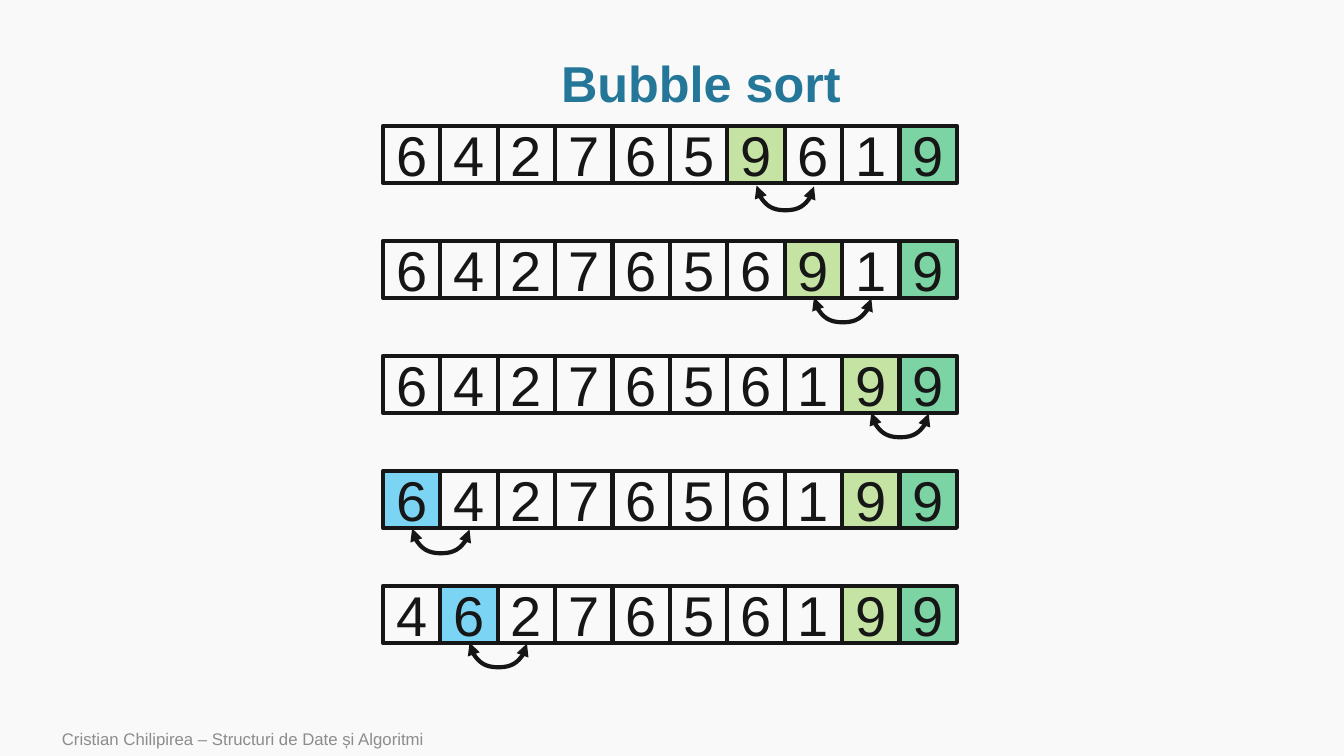
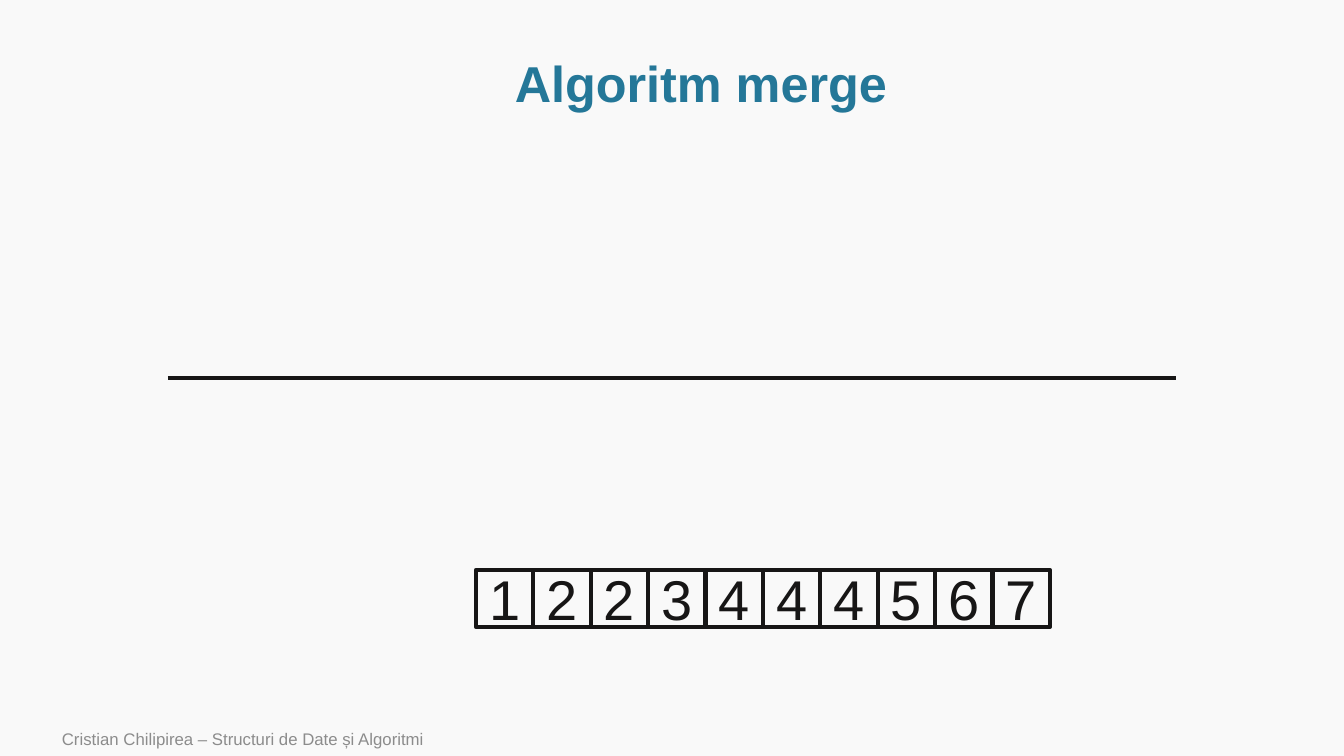
from lxml.etree import SubElement
from pptx import Presentation
from pptx.dml.color import RGBColor
from pptx.enum.shapes import MSO_CONNECTOR as Link, MSO_SHAPE as Shape
from pptx.enum.text import MSO_ANCHOR as Anchor, PP_ALIGN as Align
from pptx.oxml.ns import qn
from pptx.util import Emu, Pt

FONT = "Arial"
PAPER, INK, TEAL, GREY = "F9F9F9", "171616", "247798", "8C8C8C"
BLUE, LIME, GREEN = "00B0F0", "92D050", "00B050"
WIDE, HIGH = 1344, 756
ROW, CELL = 574, 57  # row width and cell height
DEPTH = 25  # how far a swap arc hangs down
FOOTER = "Cristian Chilipirea – Structuri de Date și Algoritmi"

# Digits, left cell of the swap, gap above the arc, cell tints
STEPS = [
    ("6427659619", 6, 3, {6: LIME, 9: GREEN}),
    ("6427656919", 7, 0, {7: LIME, 9: GREEN}),
    ("6427656199", 8, 0, {8: LIME, 9: GREEN}),
    ("6427656199", 0, 1, {0: BLUE, 8: LIME, 9: GREEN}),
    ("4627656199", 1, 0, {1: BLUE, 8: LIME, 9: GREEN}),
]


def px(n):
    return Emu(round(n * 914400 / 100.8))


def color(code):
    return RGBColor.from_string(code)


def write(shape, text, size, code, align, bold=False):
    frame = shape.text_frame
    frame.word_wrap = True
    frame.vertical_anchor = Anchor.MIDDLE
    frame.text = text
    para = frame.paragraphs[0]
    para.alignment = align
    font = para.runs[0].font
    font.name, font.size, font.bold = FONT, Pt(size), bold
    font.color.rgb = color(code)
    return para


def label(slide, box, *style):
    return write(slide.shapes.add_textbox(*map(px, box)), *style)


def stroke(line):
    line.color.rgb = color(INK)
    line.width = Pt(3)


def connect(slide, kind, x1, y1, x2, y2):
    link = slide.shapes.add_connector(kind, *map(px, (x1, y1, x2, y2)))
    stroke(link.line)
    SubElement(link._element.spPr, qn("a:effectLst"))
    return link


def draw_cell(slide, box, digit, tint):
    cell = slide.shapes.add_shape(Shape.RECTANGLE, *map(px, box))
    cell.shadow.inherit = False
    stroke(cell.line)
    if tint:
        cell.fill.solid()
        cell.fill.fore_color.rgb = color(tint)
        # Half transparent tint
        rgb = cell._element.spPr.find(qn("a:solidFill"))[0]
        SubElement(rgb, qn("a:alpha"), val="50000")
    else:
        cell.fill.background()
    write(cell, digit, 40, INK, Align.CENTER)


def draw_row(slide, left, top, digits, tints):
    step = ROW / len(digits)
    for i, digit in enumerate(digits):
        box = left + i * step, top, step, CELL
        draw_cell(slide, box, digit, tints.get(i))


def draw_swap(slide, left, top, span):
    # A one px wide curve, turned on its side to hang between two cells
    x, y = left + span / 2, top
    arc = connect(slide, Link.CURVE, x, y - span / 2, x + 1, y + span / 2)
    props = arc._element.spPr
    frame = props.find(qn("a:xfrm"))
    frame.set("rot", "16200000")
    frame.set("flipH", "1")
    guides = props.find(qn("a:prstGeom")).find(qn("a:avLst"))
    SubElement(guides, qn("a:gd"), name="adj1", fmla=f"val {DEPTH * 100000}")
    line = props.find(qn("a:ln"))
    for end in ("a:headEnd", "a:tailEnd"):
        SubElement(line, qn(end), type="triangle")


def add_page(deck, title):
    slide = deck.slides.add_slide(deck.slide_layouts[6])
    slide.background.fill.solid()
    slide.background.fill.fore_color.rgb = color(PAPER)
    para = label(slide, (115, 51, 1172, 70), title, 36, TEAL, Align.CENTER, True)
    para.line_spacing = 0.9
    label(slide, (52, 722, 847, 34), FOOTER, 12, GREY, Align.LEFT)
    return slide


def add_bubble(deck, left=383, top=126, pitch=115):
    slide = add_page(deck, "Bubble sort")
    for i, (digits, swap, gap, tints) in enumerate(STEPS):
        y = top + i * pitch
        step = ROW / len(digits)
        draw_row(slide, left, y, digits, tints)
        draw_swap(slide, left + (swap + 0.5) * step, y + CELL + gap, step)


def add_merge(deck):
    slide = add_page(deck, "Algoritm merge")
    connect(slide, Link.STRAIGHT, 168, 378, 1176, 378)
    draw_row(slide, 476, 570, "1223444567", {})


def main():
    deck = Presentation()
    deck.slide_width, deck.slide_height = px(WIDE), px(HIGH)
    add_bubble(deck)
    add_merge(deck)
    deck.save("out.pptx")


if __name__ == "__main__":
    main()
